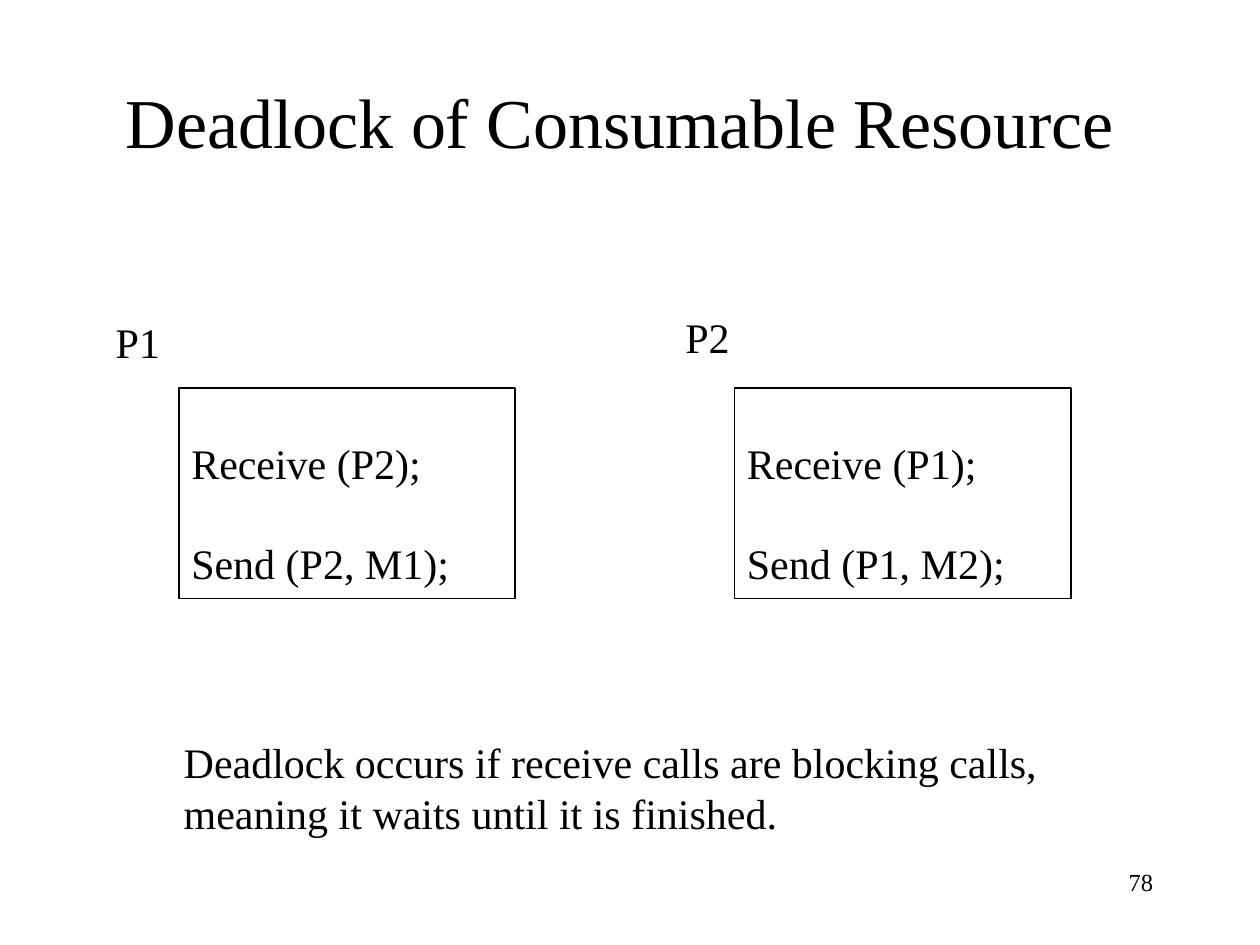
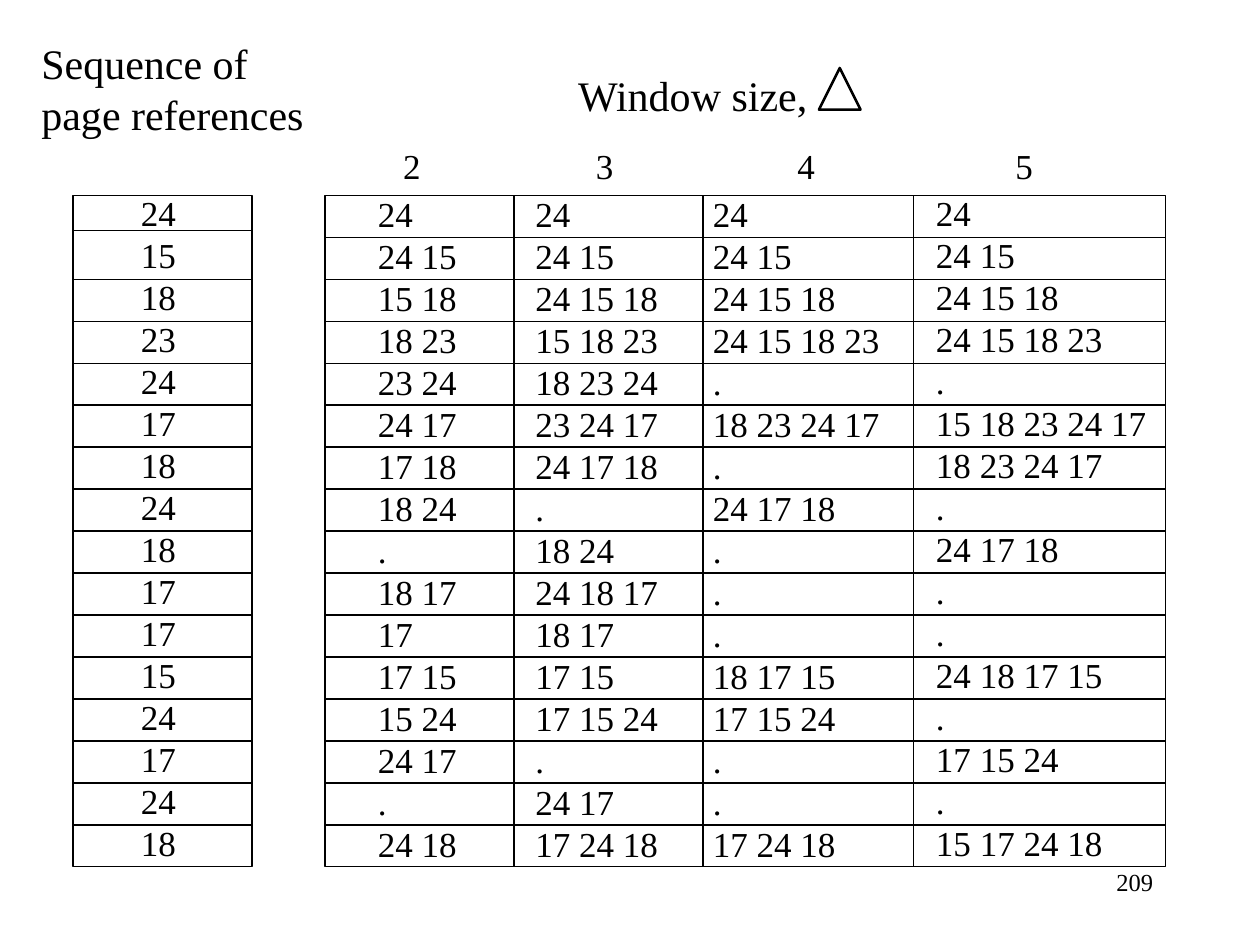
from lxml import etree
from pptx import Presentation
from pptx.dml.color import RGBColor
from pptx.enum import shapes, text
from pptx.oxml.ns import qn
from pptx.util import Inches, Pt

COLORS = {"ink": "000000", "paper": "FFFFFF"}
FONT = "Times New Roman"
LINE_PITCH = 1.2
TITLE_ONLY, BLANK = 5, 6
LEFT, CENTER, RIGHT = text.PP_ALIGN.LEFT, text.PP_ALIGN.CENTER, text.PP_ALIGN.RIGHT

# Slide 1: process name, label position, box left edge, calls
PROCESSES = [
    ("P1", (0.82, 2.46), 1.42, ["Receive (P2);", "Send (P2, M1);"]),
    ("P2", (5.34, 2.42), 5.83, ["Receive (P1);", "Send (P1, M2);"]),
]

# Slide 2: page references, then the working set for each window size
REFERENCES = "24 15 18 23 24 17 18 24 18 17 17 15 24 17 24 18".split()
WORKING_SETS = [
    ("24", "24", "24", "24"),
    ("24 15", "24 15", "24 15", "24 15"),
    ("15 18", "24 15 18", "24 15 18", "24 15 18"),
    ("18 23", "15 18 23", "24 15 18 23", "24 15 18 23"),
    ("23 24", "18 23 24", ".", "."),
    ("24 17", "23 24 17", "18 23 24 17", "15 18 23 24 17"),
    ("17 18", "24 17 18", ".", "18 23 24 17"),
    ("18 24", ".", "24 17 18", "."),
    (".", "18 24", ".", "24 17 18"),
    ("18 17", "24 18 17", ".", "."),
    ("17", "18 17", ".", "."),
    ("17 15", "17 15", "18 17 15", "24 18 17 15"),
    ("15 24", "17 15 24", "17 15 24", "."),
    ("24 17", ".", ".", "17 15 24"),
    (".", "24 17", ".", "."),
    ("24 18", "17 24 18", "17 24 18", "15 17 24 18"),
]
# Left, top and width of the text in each working set column
COLUMN_PLACES = [(2.9, 1.48, 0.83), (4.15, 1.48, 1.18),
                 (5.56, 1.48, 1.53), (7.33, 1.47, 1.88)]
WINDOW_SIZES = {"2": 0.62, "3": 2.15, "4": 3.75, "5": 5.48}
GRID_TOP, GRID_HEIGHT = 1.55, 5.33
ROW_HEIGHT = GRID_HEIGHT / len(REFERENCES)


def color(name):
    return RGBColor.from_string(COLORS[name])


def write_lines(frame, lines, size, align=LEFT, gap=0):
    for index, line in enumerate(lines):
        paragraph = frame.add_paragraph() if index else frame.paragraphs[0]
        paragraph.text = line
        paragraph.alignment = align
        paragraph.font.name = FONT
        paragraph.font.size = Pt(size)
        paragraph.font.color.rgb = color("ink")
        paragraph.line_spacing = Pt(size * LINE_PITCH)
        if index:
            paragraph.space_before = Pt(gap)


def add_text(slide, box, lines, size=24, align=LEFT):
    shape = slide.shapes.add_textbox(*map(Inches, box))
    shape.text_frame.word_wrap = align != LEFT
    write_lines(shape.text_frame, lines, size, align)
    return shape


def add_outline(slide, preset, box, width, fill=None):
    shape = slide.shapes.add_shape(preset, *map(Inches, box))
    shape.shadow.inherit = False
    if fill:
        shape.fill.solid()
        shape.fill.fore_color.rgb = color(fill)
    else:
        shape.fill.background()
    shape.line.color.rgb = color("ink")
    shape.line.width = Pt(width)
    return shape


def add_rule(slide, *ends):
    line = slide.shapes.add_connector(
        shapes.MSO_CONNECTOR.STRAIGHT, *map(Inches, ends))
    line.line.color.rgb = color("ink")
    line.line.width = Pt(0.75)
    etree.SubElement(line._element.spPr, qn("a:effectLst"))


def add_page_number(slide, number):
    add_text(slide, (7.17, 6.83, 2.08, 0.5), [number], 14, RIGHT)


def add_title(slide, title):
    shape = slide.shapes.title
    shape.left, shape.top, shape.width, shape.height = map(
        Inches, (0.67, 0.33, 8.5, 1.25))
    frame = shape.text_frame
    frame.auto_size = text.MSO_AUTO_SIZE.NONE
    frame.vertical_anchor = text.MSO_ANCHOR.MIDDLE
    write_lines(frame, [title], 40, CENTER)


def add_code_box(slide, left, calls):
    shape = add_outline(slide, shapes.MSO_SHAPE.RECTANGLE,
                        (left, 3.08, 2.67, 1.67), 1, "paper")
    frame = shape.text_frame
    frame.vertical_anchor = text.MSO_ANCHOR.BOTTOM
    frame.margin_bottom = Inches(0.08)
    write_lines(frame, calls, 24, gap=24 * LINE_PITCH)


def add_grid(slide, left, width, first_rule, dividers=()):
    """Draw a frame with a rule under each row and the column dividers."""
    add_outline(slide, shapes.MSO_SHAPE.RECTANGLE,
                (left, GRID_TOP, width, GRID_HEIGHT), 0.75)
    rules = [GRID_TOP + row * ROW_HEIGHT for row in range(2, len(REFERENCES))]
    for y in [first_rule] + rules:
        add_rule(slide, left, y, left + width, y)
    for x in dividers:
        add_rule(slide, x, GRID_TOP, x, GRID_TOP + GRID_HEIGHT)


def add_column(slide, left, top, width, values):
    add_text(slide, (left, top, width, 5.43), values, 20)


def add_window_sizes(slide):
    shape = add_text(slide, (2.55, 1.1, 5.8, 0.43),
                     ["".join("\t" + size for size in WINDOW_SIZES)], 20)
    properties = shape.text_frame.paragraphs[0]._p.pPr
    tabs = etree.Element(qn("a:tabLst"))
    for position in WINDOW_SIZES.values():
        etree.SubElement(tabs, qn("a:tab"), pos=str(Inches(position)), algn="ctr")
    properties.find(qn("a:defRPr")).addprevious(tabs)


def build_deadlock_slide(presentation):
    slide = presentation.slides.add_slide(presentation.slide_layouts[TITLE_ONLY])
    add_title(slide, "Deadlock of Consumable Resource")
    for name, (left, top), box_left, calls in PROCESSES:
        add_code_box(slide, box_left, calls)
        add_text(slide, (left, top, 0.55, 0.5), [name])
    add_text(slide, (1.36, 5.8, 7.07, 0.9),
             ["Deadlock occurs if receive calls are blocking calls,",
              "meaning it waits until it is finished."])
    add_page_number(slide, "78")


def build_working_set_slide(presentation):
    slide = presentation.slides.add_slide(presentation.slide_layouts[BLANK])
    add_page_number(slide, "209")
    # Grids
    add_grid(slide, 0.58, 1.42, 1.83)
    add_grid(slide, 2.58, 6.67, GRID_TOP + ROW_HEIGHT, (4.08, 5.58, 7.25))
    # Column contents
    add_column(slide, 1.02, 1.47, 0.48, REFERENCES)
    for place, values in zip(COLUMN_PLACES, zip(*WORKING_SETS)):
        add_column(slide, *place, values)
    # Headings
    add_text(slide, (0.23, 0.25, 2.28, 0.9), ["Sequence of", "page references"])
    add_text(slide, (4.49, 0.5, 2.1, 0.5), ["Window size,"])
    add_outline(slide, shapes.MSO_SHAPE.ISOSCELES_TRIANGLE,
                (6.5, 0.54, 0.33, 0.33), 1.5)
    add_window_sizes(slide)


def main():
    presentation = Presentation()
    presentation.slide_width, presentation.slide_height = Inches(10), Inches(7.5)
    build_deadlock_slide(presentation)
    build_working_set_slide(presentation)
    presentation.save("out.pptx")


if __name__ == "__main__":
    main()
